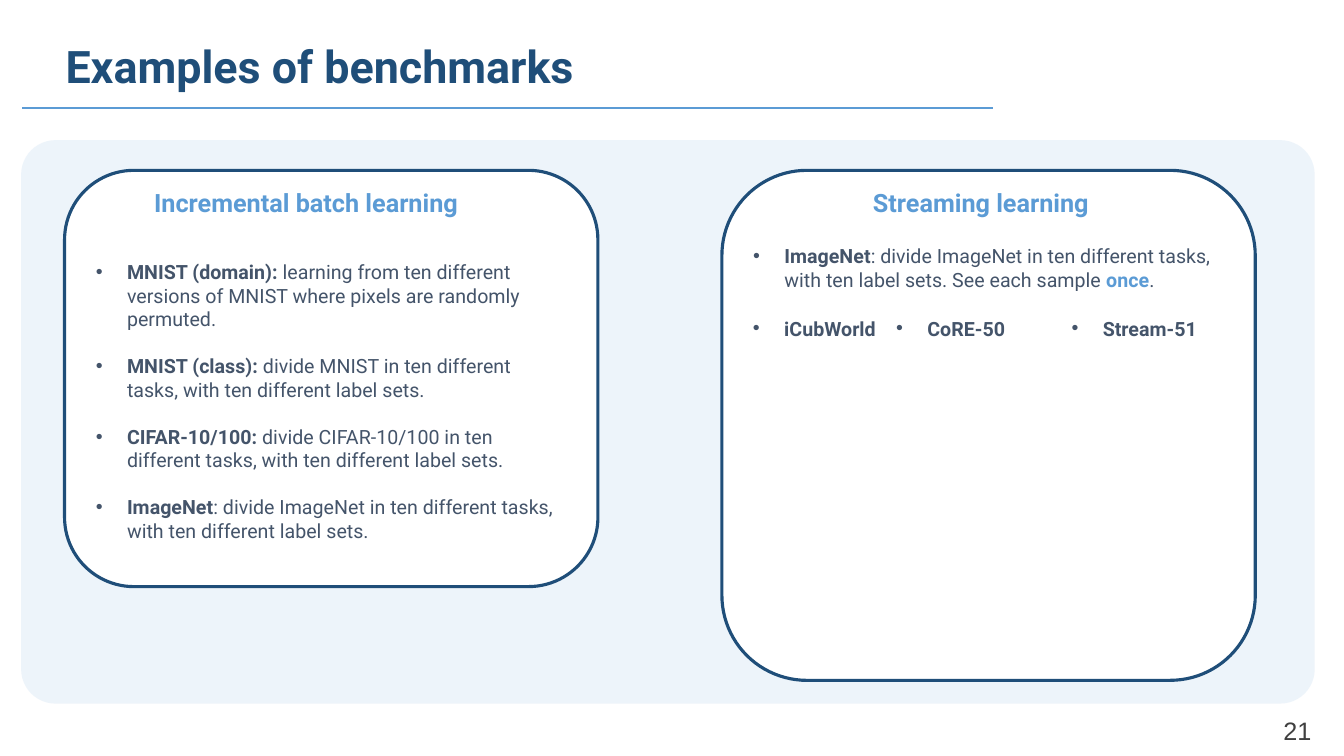
from dataclasses import dataclass

from lxml import etree
from pptx import Presentation
from pptx.dml.color import RGBColor
from pptx.enum.shapes import MSO_CONNECTOR, MSO_SHAPE
from pptx.enum.text import MSO_ANCHOR, MSO_AUTO_SIZE, PP_ALIGN
from pptx.oxml.ns import qn
from pptx.util import Inches, Pt

ROUND = MSO_SHAPE.ROUNDED_RECTANGLE
STRAIGHT = MSO_CONNECTOR.STRAIGHT
TOP = MSO_ANCHOR.TOP
LEFT = PP_ALIGN.LEFT
FIXED = MSO_AUTO_SIZE.NONE


@dataclass(frozen=True)
class Theme:
    navy: str = "1F4E79"
    blue: str = "5B9BD5"
    pale: str = "DEEBF7"
    slate: str = "44546A"
    gray: str = "404040"
    white: str = "FFFFFF"
    face: str = "Roboto"
    plain: str = "Arial"
    title: int = 32
    head: int = 18
    body: int = 14


THEME = Theme()
BOLD = (THEME.slate, True)
TEXT = (THEME.slate, False)
MARK = (THEME.blue, True)

TITLE = "Examples of benchmarks"
NUMBER = "21"
CARDS = [
    {
        "box": (0.64, 1.69, 5.29, 4.13),
        "head": ("Incremental batch learning", 1.43, 3.41),
        "list": (2.53, 3.16),
        "items": [
            [("MNIST (domain): ", BOLD),
             ("learning from ten different versions of MNIST where pixels "
              "are randomly permuted.", TEXT)],
            [("MNIST (class):", BOLD),
             (" divide MNIST in ten different tasks, with ten different "
              "label sets.", TEXT)],
            [("CIFAR-10/100: ", BOLD),
             ("divide CIFAR-10/100 in ten different tasks, with ten "
              "different label sets.", TEXT)],
            [("ImageNet", BOLD),
             (": divide ImageNet in ten different tasks, with ten different "
              "label sets.", TEXT)],
        ],
    },
    {
        "box": (7.16, 1.69, 5.29, 5.06),
        "head": ("Streaming learning", 8.56, 2.49),
        "list": (2.37, 0.81),
        "items": [
            [("ImageNet", BOLD),
             (": divide ImageNet in ten different tasks, with ten label "
              "sets. See each sample ", TEXT),
             ("once", MARK), (".", TEXT)],
        ],
    },
]
SETS = [("iCubWorld", 7.37, 1.56), ("CoRE-50", 8.79, 1.33),
        ("Stream-51", 10.53, 1.47)]


def color(code):
    return RGBColor.from_string(code)


def place(shape, box):
    shape.left, shape.top, shape.width, shape.height = map(Inches, box)


def style(run, size, tone, bold, face=THEME.face):
    run.font.size = Pt(size)
    run.font.name = face
    run.font.bold = bold
    run.font.color.rgb = color(tone)


def bullet(para):
    props = para._p.get_or_add_pPr()
    props.set("marL", str(Inches(0.31)))
    props.set("indent", str(-Inches(0.31)))
    etree.SubElement(props, qn("a:buFont")).set("typeface", THEME.plain)
    etree.SubElement(props, qn("a:buChar")).set("char", "•")


def fill_list(frame, items):
    for i, item in enumerate(items):
        para = frame.paragraphs[0] if i == 0 else frame.add_paragraph()
        bullet(para)
        para.space_before = Pt(16.8 if i else 0)
        for words, look in item:
            run = para.add_run()
            run.text = words
            style(run, THEME.body, *look)


def add_box(slide, box):
    frame = slide.shapes.add_textbox(*map(Inches, box)).text_frame
    frame.word_wrap = False
    return frame


def add_label(slide, box, words, tone, bold, face=THEME.face):
    frame = add_box(slide, box)
    frame.text = words
    style(frame.paragraphs[0].runs[0], THEME.head, tone, bold, face)


def add_panel(slide, box, tone):
    panel = slide.shapes.add_shape(ROUND, *map(Inches, box))
    panel.shadow.inherit = False
    panel.fill.solid()
    panel.fill.fore_color.rgb = color(tone)
    panel.line.fill.background()
    return panel


def add_back(slide):
    rule = slide.shapes.add_connector(
        STRAIGHT, *map(Inches, (0.22, 1.07, 9.85, 1.07)))
    rule.line.color.rgb = color(THEME.blue)
    rule.line.width = Pt(1.5)
    etree.SubElement(rule._element.spPr, qn("a:effectLst"))
    back = add_panel(slide, (0.21, 1.39, 12.83, 5.59), THEME.pale)
    back.adjustments[0] = 0.061
    tint = back._element.spPr.find(qn("a:solidFill"))[0]
    etree.SubElement(tint, qn("a:alpha")).set("val", "52000")


def add_title(slide):
    title = slide.shapes.title
    place(title, (0.55, 0.39, 11.5, 0.74))
    frame = title.text_frame
    frame.text = TITLE
    frame.vertical_anchor = TOP
    frame.auto_size = FIXED
    para = frame.paragraphs[0]
    para.alignment = LEFT
    para.line_spacing = 0.9
    style(para.runs[0], THEME.title, THEME.navy, True)


def add_card(slide, card, body):
    left, top, width, height = card["box"]
    panel = add_panel(slide, card["box"], THEME.white)
    panel.line.color.rgb = color(THEME.navy)
    panel.line.width = Pt(2.25)
    words, start, span = card["head"]
    add_label(slide, (start, top + 0.12, span, 0.4), words, THEME.blue, True)
    down, tall = card["list"]
    place(body, (left + 0.21, down, width - 0.42, tall))
    body.text_frame.auto_size = FIXED
    body.text_frame.vertical_anchor = TOP
    fill_list(body.text_frame, card["items"])
    slide.shapes._spTree.append(body._element)


def main():
    deck = Presentation()
    deck.slide_width, deck.slide_height = Inches(13.33), Inches(7.5)
    slide = deck.slides.add_slide(deck.slide_layouts[3])
    add_back(slide)
    add_title(slide)
    for i, card in enumerate(CARDS, 1):
        add_card(slide, card, slide.placeholders[i])
    for name, left, width in SETS:
        frame = add_box(slide, (left, 3.09, width, 0.34))
        fill_list(frame, [[(name, BOLD)]])
    add_label(slide, (12.63, 7.05, 0.53, 0.25), NUMBER, THEME.gray, False,
              THEME.plain)
    deck.save("out.pptx")


if __name__ == "__main__":
    main()
